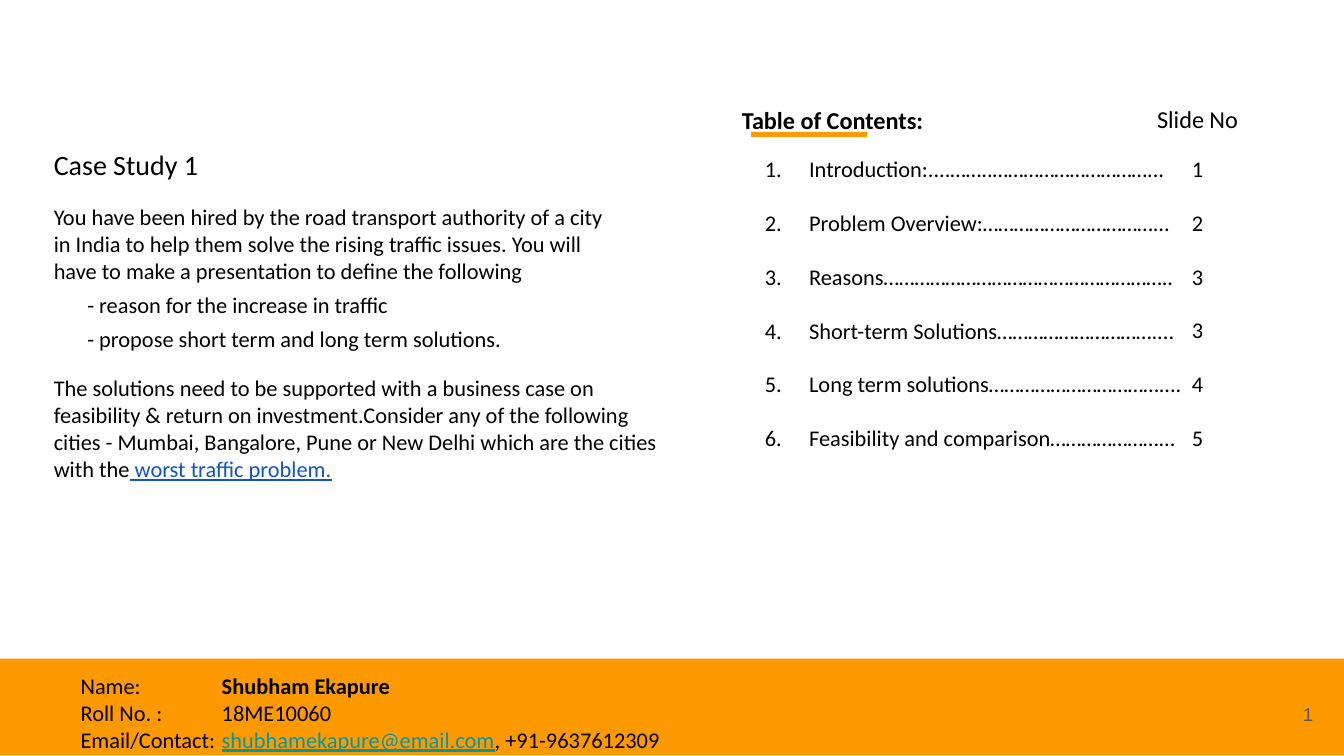
"""Build the case study slide with its table of contents and contact bar."""
from lxml.etree import SubElement
from pptx import Presentation
from pptx.dml.color import RGBColor
from pptx.enum.shapes import MSO_CONNECTOR, MSO_SHAPE
from pptx.enum.text import MSO_ANCHOR, MSO_AUTO_SIZE, PP_ALIGN
from pptx.oxml.ns import qn
from pptx.util import Inches, Pt

COLORS = {"text": "000000", "accent": "FF9900", "link": "1154CC",
          "mail": "0097A7", "number": "595959"}


def set_frame(sp, box, anchor=MSO_ANCHOR.TOP, left=0.1):
    sp.left, sp.top, sp.width, sp.height = [Inches(v) for v in box]
    tf = sp.text_frame
    tf.word_wrap = True
    tf.auto_size = MSO_AUTO_SIZE.NONE
    tf.vertical_anchor = anchor
    tf.margin_left, tf.margin_right = Inches(left), Inches(0.1)
    tf.margin_top = tf.margin_bottom = Inches(0.05)
    return tf


def add_text(tf, text, size=12, color="text", font="Calibri", bold=False, underline=False,
             align=PP_ALIGN.LEFT, before=0, indent=0, hanging=0, numbered=False,
             tab=None, same_line=False):
    p = tf.paragraphs[-1]
    if not same_line:
        if p.runs:
            p = tf.add_paragraph()
        p.alignment, p.line_spacing = align, 1.0
        p.space_before, p.space_after = Pt(before), Pt(0)
        pPr = p._p.get_or_add_pPr()
        if numbered:
            SubElement(SubElement(pPr, qn("a:buClr")), qn("a:srgbClr"), val=COLORS[color])
            SubElement(pPr, qn("a:buFont"), typeface=font)
            SubElement(pPr, qn("a:buAutoNum"), type="arabicPeriod")
        else:
            SubElement(pPr, qn("a:buNone"))
        if tab:
            tabs = SubElement(pPr, qn("a:tabLst"))
            SubElement(tabs, qn("a:tab"), pos=str(Inches(tab)), algn="l")
        else:
            pPr.set("marL", str(Inches(indent)))
            pPr.set("indent", str(Inches(-hanging)))
    for i, line in enumerate(text.split("\n")):
        if i:
            p.add_line_break()
        r = p.add_run()
        r.text = line
        r.font.size, r.font.name = Pt(size), font
        r.font.bold, r.font.underline = bold, underline
        r.font.color.rgb = RGBColor.from_string(COLORS[color])


prs = Presentation()
prs.slide_width = Inches(10)
prs.slide_height = prs.slide_width * 9 // 16
s = prs.slides.add_slide(prs.slide_layouts[3])
title, case, contents = list(s.placeholders)[:3]

tf = set_frame(title, (0.3, 1.02, 4.7, 0.4), MSO_ANCHOR.MIDDLE)
add_text(tf, "Case Study 1", size=15)

tf = set_frame(case, (0.3, 1.46, 4.7, 2.3))
add_text(tf, "You have been hired by the road transport authority of a city\n"
             "in India to help them solve the rising traffic issues. You will\n"
             "have to make a presentation to define the following")
for task in ("- reason for the increase in traffic",
             "- propose short term and long term solutions."):
    add_text(tf, task, before=4, indent=0.25)
add_text(tf, "The solutions need to be supported with a business case on feasibility & return on "
             "investment.Consider any of the following cities - Mumbai, Bangalore, Pune or "
             "New Delhi which are the cities with the", before=12)
add_text(tf, " worst traffic problem.", color="link", underline=True, same_line=True)

bar = s.shapes.add_shape(MSO_SHAPE.RECTANGLE, 0, 0, 0, 0)
bar.shadow.inherit = False
bar.fill.solid()
bar.fill.fore_color.rgb = RGBColor.from_string(COLORS["accent"])
bar.line.fill.background()
tf = set_frame(bar, (0, 4.9, 10, 0.72), left=0.6)
tf.margin_top, tf.margin_bottom = Inches(0.1), 0
add_text(tf, "Name:\t", tab=1.05)
add_text(tf, "Shubham Ekapure", bold=True, same_line=True)
add_text(tf, "Roll No. :\t18ME10060", tab=1.05)
add_text(tf, "Email/Contact:\t", tab=1.05)
add_text(tf, "shubhamekapure@email.com", color="mail", underline=True, same_line=True)
add_text(tf, ", +91-9637612309", same_line=True)

entries = [("Introduction:....……..…………………………...", "1"),
           ("Problem Overview:……………………………...", "2"),
           ("Reasons………………………………………………..", "3"),
           ("Short-term Solutions…………………………....", "3"),
           ("Long term solutions……………………………....", "4"),
           ("Feasibility and comparison…………………...", "5")]
topics = set_frame(contents, (5.42, 0.73, 3.6, 2.9))
pages = set_frame(s.shapes.add_textbox(0, 0, 0, 0), (8.41, 0.73, 1, 2.9))
add_text(topics, "Table of Contents:", size=13, bold=True)
add_text(pages, "Slide No", size=13, align=PP_ALIGN.CENTER)
for i, (topic, page) in enumerate(entries):
    gap = 14.4 if i else 11.5
    add_text(topics, topic, before=gap, indent=0.5, hanging=0.33, numbered=True)
    add_text(pages, page, before=gap, align=PP_ALIGN.CENTER)

number = s.shapes.add_textbox(0, 0, 0, 0)
tf = set_frame(number, (9.27, 5.1, 0.6, 0.43), MSO_ANCHOR.MIDDLE)
add_text(tf, "1", size=10, color="number", font="Arial", align=PP_ALIGN.RIGHT)

rule = s.shapes.add_connector(MSO_CONNECTOR.STRAIGHT, Inches(5.59), Inches(1),
                              Inches(6.45), Inches(1))
rule.line.color.rgb = RGBColor.from_string(COLORS["accent"])
rule.line.width = Pt(3)
SubElement(rule._element.spPr, qn("a:effectLst"))

prs.save("out.pptx")
